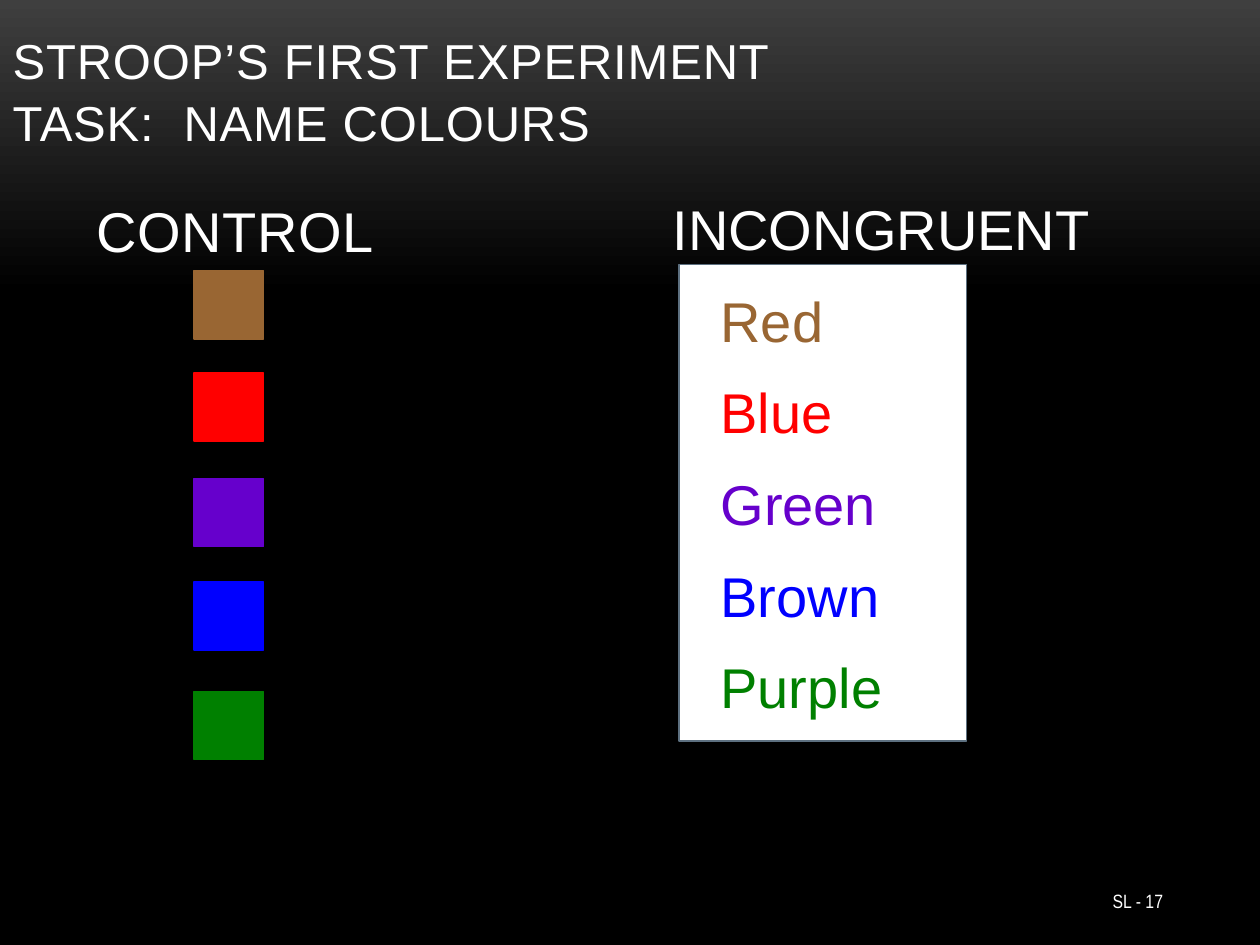
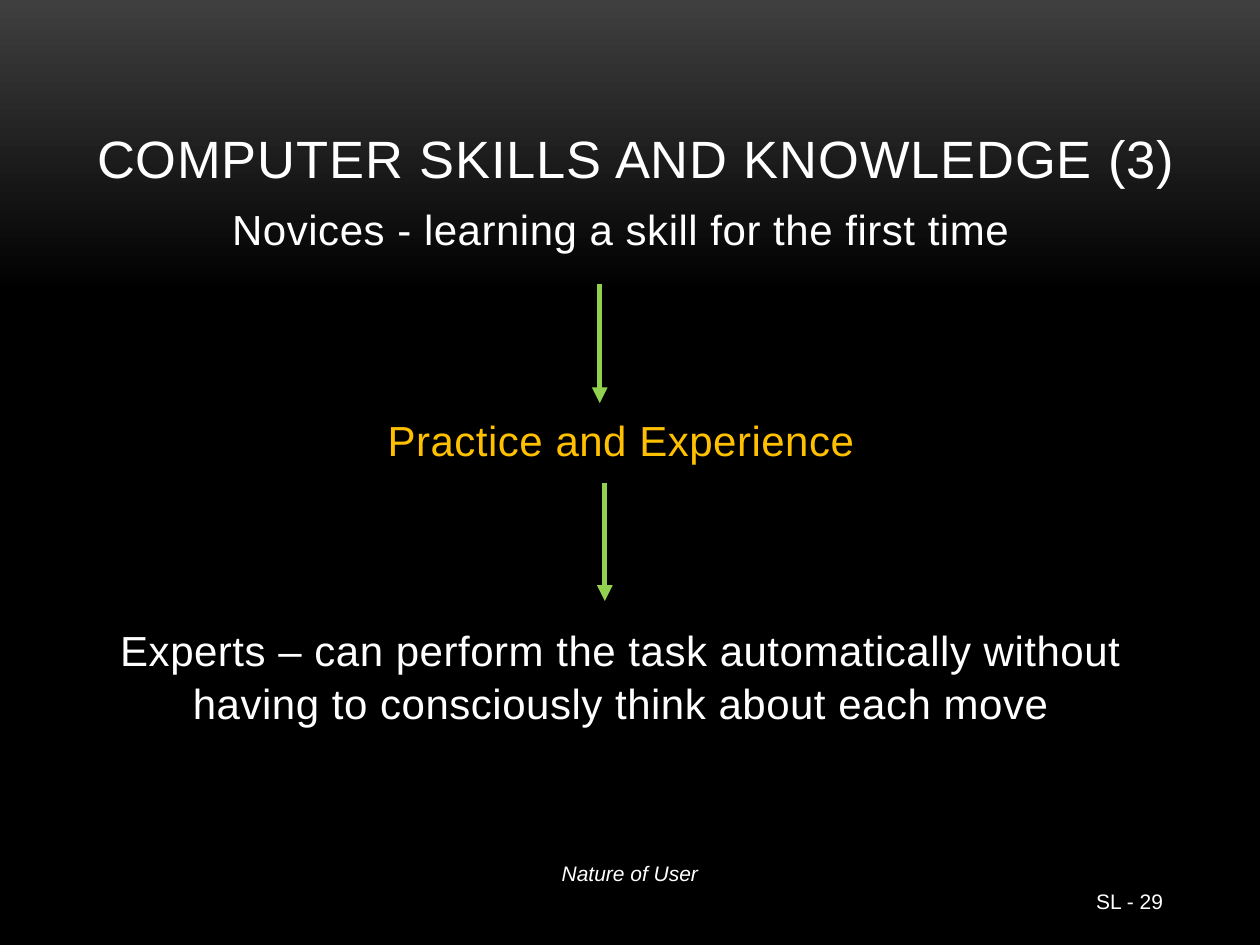
from copy import deepcopy
from dataclasses import dataclass

from lxml import etree
from pptx import Presentation
from pptx.dml.color import RGBColor
from pptx.enum.shapes import MSO_CONNECTOR, MSO_SHAPE
from pptx.enum.text import MSO_ANCHOR, MSO_AUTO_SIZE, PP_ALIGN
from pptx.oxml.ns import qn
from pptx.util import Inches, Pt

LEFT, CENTER, RIGHT = PP_ALIGN.LEFT, PP_ALIGN.CENTER, PP_ALIGN.RIGHT
TOP, MIDDLE, BOTTOM = MSO_ANCHOR.TOP, MSO_ANCHOR.MIDDLE, MSO_ANCHOR.BOTTOM
NO_AUTOFIT = MSO_AUTO_SIZE.NONE
RECTANGLE = MSO_SHAPE.RECTANGLE
STRAIGHT = MSO_CONNECTOR.STRAIGHT
TITLE_ONLY = 5


@dataclass(frozen=True)
class Theme:
    font: str = "Arial"
    narrow_font: str = "Arial Narrow"
    text: str = "FFFFFF"
    glow: str = "3F3F3F"
    background: str = "000000"
    panel: str = "FFFFFF"
    panel_line: str = "5D7080"
    highlight: str = "FFC000"
    arrow: str = "92D050"
    heading_size: int = 32
    body_size: int = 24
    footer_size: int = 12
    line_spacing: float = 1.05
    title_tracking: int = 50
    body_tracking: int = 30


THEME = Theme()

STROOP_ITEMS = [
    ("Red", "996633", 2.15),
    ("Blue", "FF0000", 2.96),
    ("Green", "6600CC", 3.8),
    ("Brown", "0000FF", 4.62),
    ("Purple", "008000", 5.49),
]

SKILL_STAGES = [
    ("Novices - learning a skill for the first time", THEME.text),
    ("Practice and Experience", THEME.highlight),
    ("Experts – can perform the task automatically without "
     "having to consciously think about each move", THEME.text),
]


def rgb(colour):
    return RGBColor.from_string(colour)


def paint_background(master):
    fill = master.background.fill
    fill.gradient()
    fill.gradient_angle = 270
    for stop, colour, position in zip(
            fill.gradient_stops, (THEME.glow, THEME.background), (0, 0.31)):
        stop.color.rgb = rgb(colour)
        stop.position = position
    stop_list = next(master.element.iter(qn("a:gsLst")))
    last_stop = deepcopy(stop_list[-1])
    last_stop.set("pos", "100000")
    stop_list.append(last_stop)


def add_run(paragraph, text, size, colour=THEME.text, font=THEME.font,
            tracking=0, italic=False):
    run = paragraph.add_run()
    run.text = text
    run.font.size = Pt(size)
    run.font.name = font
    run.font.italic = italic
    run.font.color.rgb = rgb(colour)
    if tracking:
        run.font._element.set("spc", str(tracking))


def place(shape, left, top, width, height):
    shape.left, shape.top = Inches(left), Inches(top)
    shape.width, shape.height = Inches(width), Inches(height)


def prepare_frame(shape, anchor, alignment):
    frame = shape.text_frame
    frame.word_wrap = True
    frame.auto_size = NO_AUTOFIT
    frame.vertical_anchor = anchor
    frame.paragraphs[0].alignment = alignment
    return frame


def add_slide(presentation, title_lines, title_box, title_size):
    slide = presentation.slides.add_slide(presentation.slide_layouts[TITLE_ONLY])
    title = slide.shapes.title
    place(title, *title_box)
    paragraph = prepare_frame(title, BOTTOM, LEFT).paragraphs[0]
    paragraph.line_spacing = THEME.line_spacing
    for index, line in enumerate(title_lines):
        if index:
            paragraph.add_line_break()
        add_run(paragraph, line, title_size, tracking=THEME.title_tracking)
    return slide


def add_text_box(slide, box, anchor=TOP, alignment=LEFT):
    text_box = slide.shapes.add_textbox(*map(Inches, box))
    return prepare_frame(text_box, anchor, alignment)


def add_heading(slide, text, box, tracking=0):
    frame = add_text_box(slide, box)
    paragraph = frame.paragraphs[0]
    paragraph.line_spacing = THEME.line_spacing
    paragraph.space_after = Pt(6)
    add_run(paragraph, text, THEME.heading_size, tracking=tracking)
    return frame


def add_indented_word(frame, word, colour):
    paragraph = frame.add_paragraph()
    paragraph._p.get_or_add_pPr().set("marL", str(Inches(0.38)))
    paragraph.line_spacing = THEME.line_spacing
    paragraph.space_before = paragraph.space_after = Pt(6)
    add_run(paragraph, word, THEME.heading_size, colour)


def add_rectangle(slide, box, fill, line, line_width):
    shape = slide.shapes.add_shape(RECTANGLE, *map(Inches, box))
    shape.shadow.inherit = False
    shape.fill.solid()
    shape.fill.fore_color.rgb = rgb(fill)
    shape.line.color.rgb = rgb(line)
    shape.line.width = Pt(line_width)


def add_down_arrow(slide, x, top, bottom):
    arrow = slide.shapes.add_connector(
        STRAIGHT, Inches(x), Inches(top), Inches(x), Inches(bottom))
    arrow.line.color.rgb = rgb(THEME.arrow)
    arrow.line.width = Pt(3)
    etree.SubElement(arrow.line._get_or_add_ln(), qn("a:tailEnd"), type="triangle")
    etree.SubElement(arrow._element.spPr, qn("a:effectLst"))


def add_slide_number(slide, number, size, font):
    frame = add_text_box(slide, (8.25, 6.95, 1.08, 0.4), MIDDLE, RIGHT)
    add_run(frame.paragraphs[0], f"SL - {number}", size, font=font)


def build_stroop_slide(presentation):
    slide = add_slide(
        presentation, ["STROOP’S FIRST EXPERIMENT", "TASK:  NAME COLOURS"],
        (0, 0, 10, 1.25), 28)
    add_rectangle(slide, (5.39, 2.1, 2.28, 3.78), THEME.panel, THEME.panel_line, 0.85)
    add_heading(slide, "CONTROL", (0.67, 1.48, 4.02, 0.65), THEME.body_tracking)
    words = add_heading(slide, "INCONGRUENT", (5.24, 1.47, 4.17, 4.57))
    for word, colour, square_top in STROOP_ITEMS:
        add_indented_word(words, word, colour)
        add_rectangle(slide, (1.54, square_top, 0.55, 0.54), colour, colour, 0.75)
    add_slide_number(slide, 17, 11, THEME.narrow_font)


def build_skills_slide(presentation):
    slide = add_slide(
        presentation, ["COMPUTER SKILLS AND KNOWLEDGE (3)"],
        (0.67, 0.3, 8.9, 1.25), 30)
    frame = add_text_box(slide, (0.83, 1.55, 8.2, 5.25))
    for index, (text, colour) in enumerate(SKILL_STAGES):
        paragraph = frame.add_paragraph() if index else frame.paragraphs[0]
        paragraph.alignment = CENTER
        paragraph.line_spacing = THEME.line_spacing
        paragraph.space_after = Pt(6)
        if index:
            paragraph.space_before = Pt(84)
        add_run(paragraph, text, THEME.body_size, colour,
                tracking=THEME.body_tracking)
    add_down_arrow(slide, 4.76, 2.25, 3.2)
    add_down_arrow(slide, 4.8, 3.83, 4.77)
    footer = add_text_box(slide, (0, 6.78, 10, 0.3), alignment=CENTER)
    add_run(footer.paragraphs[0], "Nature of User", THEME.footer_size, italic=True)
    add_slide_number(slide, 29, THEME.footer_size, THEME.font)


def main():
    presentation = Presentation()
    presentation.slide_width = Inches(10)
    presentation.slide_height = Inches(7.5)
    paint_background(presentation.slide_master)
    build_stroop_slide(presentation)
    build_skills_slide(presentation)
    presentation.save("out.pptx")


if __name__ == "__main__":
    main()
